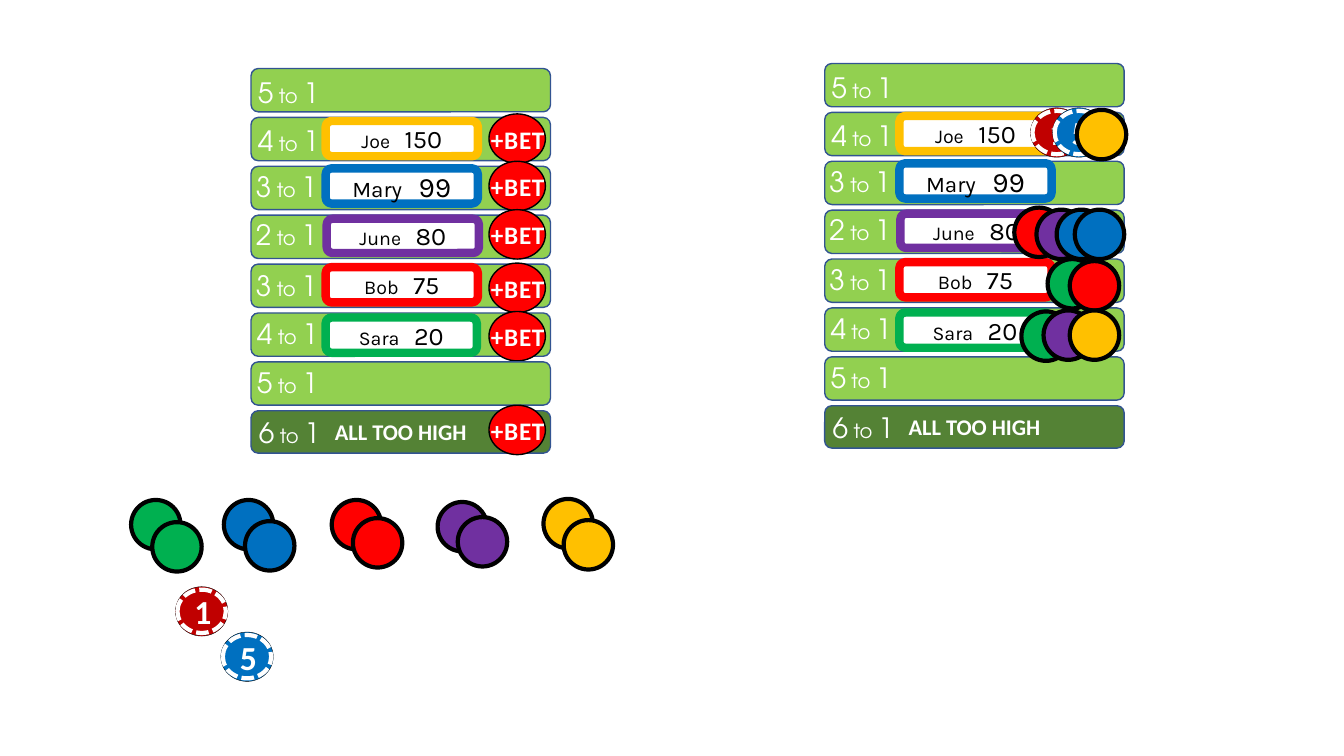
"""Build a betting-board slide: two odds boards, player tokens and chips."""
from typing import NamedTuple, Optional

from lxml import etree
from pptx import Presentation
from pptx import util as u
from pptx.dml import color
from pptx.enum import dml, shapes, text
from pptx.oxml import ns

GREEN, BLUE, RED, PURPLE, GOLD = "00B050", "0070C0", "FF0000", "7030A0", "FFC000"
WHITE, BLACK, CRIMSON = "FFFFFF", "000000", "C00000"
BODY, NAMES, ODDS = "Calibri", "Karla", "TeX Gyre Adventor"
OVAL, ROUNDED = shapes.MSO_SHAPE.OVAL, shapes.MSO_SHAPE.ROUNDED_RECTANGLE
ROW_PITCH = 0.485
BET_SLOT = 4.85


class Player(NamedTuple):
    name: str
    guess: str
    colour: str
    left: float
    top: float
    width: float = 1.51
    height: float = 0.35
    size: int = 14


class Row(NamedTuple):
    odds: str
    label_left: float
    label_top: float
    player: Optional[Player] = None
    bet_top: Optional[float] = None


class Chip(NamedTuple):
    value: str
    colour: str
    left: float
    top: float


class Token(NamedTuple):
    colour: str
    left: float
    top: float


class Piece(NamedTuple):
    words: str
    size: float
    font: str = BODY
    colour: str = WHITE
    bold: bool = False
    spacing: float = 0


ROWS = [
    Row("5", 2.39, 0.70),
    Row("4", 2.39, 1.18, Player("Joe", "150", GOLD, 3.23, 1.20), 1.13),
    Row("3", 2.37, 1.63, Player("Mary", "99", BLUE, 3.23, 1.67, size=16), 1.60),
    Row("2", 2.37, 2.11, Player("June", "80", PURPLE, 3.24, 2.17, height=0.34), 2.08),
    Row("3", 2.37, 2.61, Player("Bob", "75", RED, 3.23, 2.65), 2.61),
    Row("4", 2.38, 3.09, Player("Sara", "20", GREEN, 3.23, 3.15, width=1.5), 3.09),
    Row("5", 2.38, 3.58),
    Row("6", 2.40, 4.07, bet_top=4.02),
]
CHIPS = [
    Chip("1", CRIMSON, 1.74, 5.82), Chip("5", BLUE, 2.19, 6.27),
    Chip("1", CRIMSON, 10.22, 1.07), Chip("5", BLUE, 10.44, 1.07),
]
TOKENS = [
    Token(GREEN, 1.30, 4.96), Token(GREEN, 1.51, 5.18),
    Token(BLUE, 2.22, 4.96), Token(BLUE, 2.43, 5.17),
    Token(RED, 3.29, 4.96), Token(RED, 3.50, 5.14),
    Token(PURPLE, 4.34, 4.98), Token(PURPLE, 4.54, 5.13),
    Token(GOLD, 5.39, 4.95), Token(GOLD, 5.59, 5.16),
    Token(GOLD, 10.68, 1.09),
    Token(RED, 10.06, 2.06), Token(PURPLE, 10.28, 2.08),
    Token(BLUE, 10.48, 2.08), Token(BLUE, 10.66, 2.08),
    Token(GREEN, 10.39, 2.57), Token(RED, 10.61, 2.59),
    Token(GREEN, 10.13, 3.09), Token(PURPLE, 10.35, 3.08), Token(GOLD, 10.61, 3.08),
]


def rgb(value: str) -> color.RGBColor:
    return color.RGBColor.from_string(value)


def draw_shape(slide, kind, left: float, top: float, width: float, height: float,
               fill: str, line: str, weight: float):
    shape = slide.shapes.add_shape(kind, *map(u.Inches, (left, top, width, height)))
    shape.shadow.inherit = False
    shape.fill.solid()
    shape.fill.fore_color.rgb = rgb(fill)
    shape.line.color.rgb = rgb(line)
    shape.line.width = u.Pt(weight)
    return shape


def draw_label(slide, left: float, top: float, width: float, height: float):
    label = slide.shapes.add_textbox(*map(u.Inches, (left, top, width, height)))
    label.text_frame.word_wrap = True
    label.text_frame.auto_size = text.MSO_AUTO_SIZE.SHAPE_TO_FIT_TEXT
    return label


def write(shape, *pieces: Piece) -> None:
    paragraph = shape.text_frame.paragraphs[0]
    paragraph.alignment = text.PP_ALIGN.CENTER
    for piece in pieces:
        run = paragraph.add_run()
        run.text = piece.words
        run.font.size = u.Pt(piece.size)
        run.font.name = piece.font
        run.font.bold = piece.bold
        run.font.color.rgb = rgb(piece.colour)
        if piece.spacing:
            run.font._element.set("spc", str(round(piece.spacing * 100)))


def outline_text(shape, colour: str, weight: float) -> None:
    for run in shape.text_frame.paragraphs[0].runs:
        line = etree.Element(ns.qn("a:ln"), w=str(u.Pt(weight)))
        fill = etree.SubElement(line, ns.qn("a:solidFill"))
        etree.SubElement(fill, ns.qn("a:srgbClr"), val=colour)
        run.font._element.insert(0, line)


def draw_player(slide, player: Player, dx: float, dy: float) -> None:
    card = draw_shape(slide, ROUNDED, player.left + dx, player.top + dy,
                      player.width, player.height, WHITE, player.colour, 6)
    write(card, Piece(player.name, player.size, NAMES, BLACK),
          Piece(" ", player.size, NAMES, BLACK, spacing=player.size / 2),
          Piece(player.guess, player.size + 4, NAMES, BLACK))


def draw_bet(slide, top: float) -> None:
    draw_shape(slide, OVAL, BET_SLOT, top, 0.56, 0.49, RED, BLACK, 1)
    caption = draw_label(slide, BET_SLOT - 0.09, top + 0.05, 0.75, 0.4)
    caption.text_frame.word_wrap = False
    write(caption, Piece("+BET", 18, colour="FEFEFE", bold=True, spacing=0.5))
    outline_text(caption, BLACK, 0.75)


def draw_board(slide, dx: float, dy: float, open_bets: bool) -> None:
    for index, row in enumerate(ROWS):
        last = index == len(ROWS) - 1
        bar = draw_shape(slide, ROUNDED, 2.49 + dx, 0.68 + index * ROW_PITCH + dy,
                         2.97, 0.42 if last else 0.43,
                         "548235" if last else "92D050", "325491", 1)
        if last:
            write(bar, Piece("ALL TOO HIGH", 16, bold=True))
        if row.player:
            draw_player(slide, row.player, dx, dy)
        odds = draw_label(slide, row.label_left + dx, row.label_top + dy, 0.94, 0.44)
        write(odds, Piece(row.odds, 20, ODDS), Piece(" to ", 14, ODDS), Piece("1", 20, ODDS))
        if open_bets and row.bet_top is not None:
            draw_bet(slide, row.bet_top)


def draw_chip(slide, chip: Chip) -> None:
    draw_shape(slide, OVAL, chip.left, chip.top, 0.52, 0.49, chip.colour, BLACK, 0.25)
    face = draw_shape(slide, OVAL, chip.left + 0.02, chip.top + 0.03, 0.48, 0.43,
                      chip.colour, WHITE, 3)
    face.line.dash_style = dml.MSO_LINE.SQUARE_DOT
    write(face, Piece(chip.value, 24, bold=True))


def main() -> None:
    deck = Presentation()
    deck.slide_width, deck.slide_height = u.Inches(13.33), u.Inches(7.5)
    slide = deck.slides.add_slide(deck.slide_layouts[6])
    draw_board(slide, 0, 0, open_bets=True)
    draw_board(slide, 5.69, -0.05, open_bets=False)
    for chip in CHIPS:
        draw_chip(slide, chip)
    for token in TOKENS:
        draw_shape(slide, OVAL, token.left, token.top, 0.49, 0.49, token.colour, BLACK, 3)
    deck.save("out.pptx")


main()
